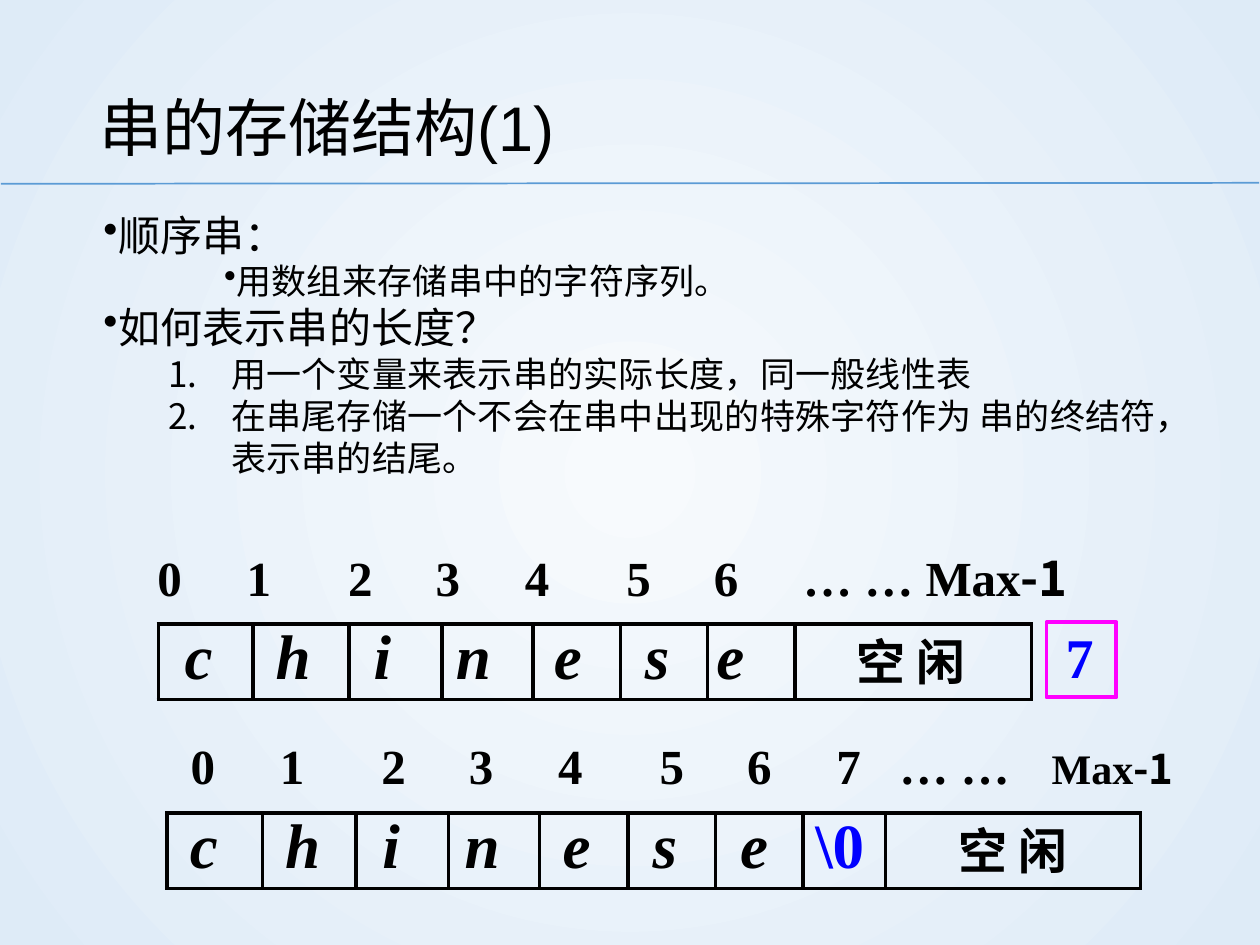
"""Build the slide on how strings are stored sequentially."""
from lxml import etree
from pptx import Presentation
from pptx.dml.color import RGBColor
from pptx.enum.shapes import MSO_CONNECTOR, MSO_SHAPE
from pptx.enum.text import MSO_ANCHOR, PP_ALIGN
from pptx.oxml.ns import qn
from pptx.util import Pt

STRAIGHT = MSO_CONNECTOR.STRAIGHT
RECTANGLE = MSO_SHAPE.RECTANGLE
MIDDLE, TOP = MSO_ANCHOR.MIDDLE, MSO_ANCHOR.TOP
LEFT = PP_ALIGN.LEFT

BLACK = RGBColor(0, 0, 0)
BLUE = RGBColor(0, 0, 255)
MAGENTA = RGBColor(255, 0, 255)
RULE_BLUE = RGBColor(0x5B, 0x9B, 0xD5)
GLOW = RGBColor(0xF7, 0xFA, 0xFD)
PALE = RGBColor(0xDE, 0xEB, 0xF7)

CJK, SERIF = "Noto Sans CJK SC", "Times New Roman"
HEADING = {"name": "Arial", "size": Pt(36), "bold": False}
TOPIC = {"name": CJK, "size": Pt(24)}
DETAIL = {"name": CJK, "size": Pt(20)}
INDEX = {"name": SERIF, "size": Pt(28), "bold": True}
INDEX_SMALL = {**INDEX, "size": Pt(24)}
LETTER = {"name": SERIF, "size": Pt(36), "bold": True, "italic": True}
END_MARK = {**LETTER, "italic": False}
FREE = {"name": CJK, "size": Pt(28), "bold": True}
LENGTH = {"name": SERIF, "size": Pt(32), "bold": True}

BULLET = ("buChar", {"char": "•"})
NUMBER = ("buAutoNum", {"type": "arabicPeriod"})
BODY = [
    ("顺序串：", TOPIC, 0, 1, -14, BULLET),
    ("用数组来存储串中的字符序列。", DETAIL, 1, 37, 32, BULLET),
    ("如何表示串的长度？", TOPIC, 0, 1, -14, BULLET),
    ("用一个变量来表示串的实际长度，同一般线性表", DETAIL, 1, 73, -36, NUMBER),
    ("在串尾存储一个不会在串中出现的特殊字符作为 串的终结符，表示串的结尾。",
     DETAIL, 1, 73, -36, NUMBER),
]
TABS = [51, 109, 159, 210, 268, 318, 369, 405, 492]
WORD = "chinese"


def add_run(p, text, fmt, color=BLACK):
    """Add a formatted run with a matching East Asian font."""
    r = p.add_run()
    r.text = text
    for name, value in fmt.items():
        setattr(r.font, name, value)
    r.font.color.rgb = color
    etree.SubElement(r.font._element, qn("a:ea"), typeface=CJK)
    return r


def set_indent(p, margin, first=None):
    """Set the left margin and any first-line indent; return the properties."""
    pPr = p._p.get_or_add_pPr()
    pPr.set("marL", str(Pt(margin)))
    if first is not None:
        pPr.set("indent", str(Pt(first)))
    return pPr


def clear_margins(tf):
    """Remove the inner margins of a text frame or cell."""
    for side in ("left", "top", "right", "bottom"):
        setattr(tf, f"margin_{side}", 0)


def set_background(s):
    """Fill the background with a circular gradient."""
    fill = s.background.fill
    fill.gradient()
    for stop, position, color in zip(fill.gradient_stops, (0, 1), (GLOW, PALE)):
        stop.position = position
        stop.color.rgb = color
    grad = s.background._cSld.find(".//" + qn("a:gradFill"))
    grad.remove(grad.find(qn("a:lin")))
    circle = etree.SubElement(grad, qn("a:path"), path="circle")
    half = dict.fromkeys("ltrb", "50000")
    etree.SubElement(circle, qn("a:fillToRect"), half)


def add_title(s, text):
    """Place and format the title and the rule below it."""
    sp = s.shapes.title
    sp.left, sp.top, sp.width, sp.height = Pt(49.5), Pt(29), Pt(620), Pt(78)
    sp.text_frame.vertical_anchor = MIDDLE
    p = sp.text_frame.paragraphs[0]
    p.alignment = LEFT
    p.line_spacing = 1.2
    add_run(p, text, HEADING)
    rule = s.shapes.add_connector(STRAIGHT, Pt(0.5), Pt(105), Pt(719.5), Pt(104.5))
    rule.line.color.rgb = RULE_BLUE
    rule.line.width = Pt(1)
    etree.SubElement(rule._element.spPr, qn("a:effectLst"))


def add_body(s):
    """Add the bulleted and numbered explanation."""
    tf = s.shapes.add_textbox(Pt(52), Pt(116), Pt(620), Pt(195)).text_frame
    tf.word_wrap = True
    for i, (text, fmt, level, margin, first, (tag, attrs)) in enumerate(BODY):
        p = tf.add_paragraph() if i else tf.paragraphs[0]
        p.level = level
        etree.SubElement(set_indent(p, margin, first), qn(f"a:{tag}"), attrs)
        add_run(p, text, fmt).font._element.set("spc", "10")


def add_indexes(s, left, top, runs):
    """Add a row of array indexes aligned on tab stops."""
    tf = s.shapes.add_textbox(Pt(left), Pt(top), Pt(576), Pt(34)).text_frame
    tf.word_wrap = True
    clear_margins(tf)
    p = tf.paragraphs[0]
    tabs = etree.SubElement(set_indent(p, 1), qn("a:tabLst"))
    for pos in TABS:
        etree.SubElement(tabs, qn("a:tab"), pos=str(Pt(pos)), algn="l")
    for text, fmt in runs:
        add_run(p, text, fmt)


def add_borders(cell):
    """Draw black borders on all sides of a cell."""
    tcPr = cell._tc.get_or_add_tcPr()
    for side in "LRTB":
        ln = etree.SubElement(tcPr, qn(f"a:ln{side}"), w=str(Pt(2.25)))
        fill = etree.SubElement(ln, qn("a:solidFill"))
        etree.SubElement(fill, qn("a:srgbClr"), val=str(BLACK))


def add_array(s, left, top, widths, indents, cells):
    """Add a one-row table of array cells."""
    frame = s.shapes.add_table(1, len(cells), Pt(left), Pt(top),
                               Pt(sum(widths)), Pt(43))
    table = frame.table
    table.first_row = table.horz_banding = False
    table.rows[0].height = Pt(43)
    for i, (width, indent, content) in enumerate(zip(widths, indents, cells)):
        table.columns[i].width = Pt(width)
        cell = table.cell(0, i)
        clear_margins(cell)
        cell.vertical_anchor = TOP
        add_borders(cell)
        cell.fill.background()
        p = cell.text_frame.paragraphs[0]
        set_indent(p, indent)
        add_run(p, *content)


def add_length_box(s, text):
    """Add the framed box that holds the string length."""
    sp = s.shapes.add_shape(RECTANGLE, Pt(598), Pt(355.5), Pt(40), Pt(43))
    sp.shadow.inherit = False
    sp.fill.background()
    sp.line.color.rgb = MAGENTA
    sp.line.width = Pt(2.25)
    tf = sp.text_frame
    clear_margins(tf)
    tf.vertical_anchor = TOP
    p = tf.paragraphs[0]
    p.alignment = LEFT
    set_indent(p, 11)
    add_run(p, text, LENGTH, BLUE)


def main():
    """Build and save the slide."""
    prs = Presentation()
    prs.slide_width, prs.slide_height = Pt(720), Pt(540)
    s = prs.slides.add_slide(prs.slide_layouts[5])
    set_background(s)
    add_title(s, "串的存储结构(1)")
    add_body(s)

    letters = [(c, LETTER) for c in WORD]
    free = ("空 闲", FREE)
    minus_one = ("-1", {**INDEX, "name": CJK})
    digits = "\t".join("0123456")
    add_indexes(s, 89, 313, [(digits + "\t… … Max", INDEX), minus_one])
    add_array(s, 90.5, 356.5, [54, 55, 53, 52, 50, 50, 50, 135],
              [15, 13, 14, 8, 12, 14, 5, 35], letters + [free])
    add_length_box(s, "7")

    add_indexes(s, 108, 420, [(digits + "\t7\t… …\t", INDEX), ("Max", INDEX_SMALL),
                              ("-1", {**INDEX_SMALL, "name": CJK})])
    add_array(s, 95.5, 464.5, [54.5, 53.5, 53, 52, 50.5, 50, 50, 47, 146],
              [13, 13, 15, 9, 13, 14, 14, 7, 42],
              letters + [("\\0", END_MARK, BLUE), free])
    prs.save("out.pptx")


if __name__ == "__main__":
    main()
